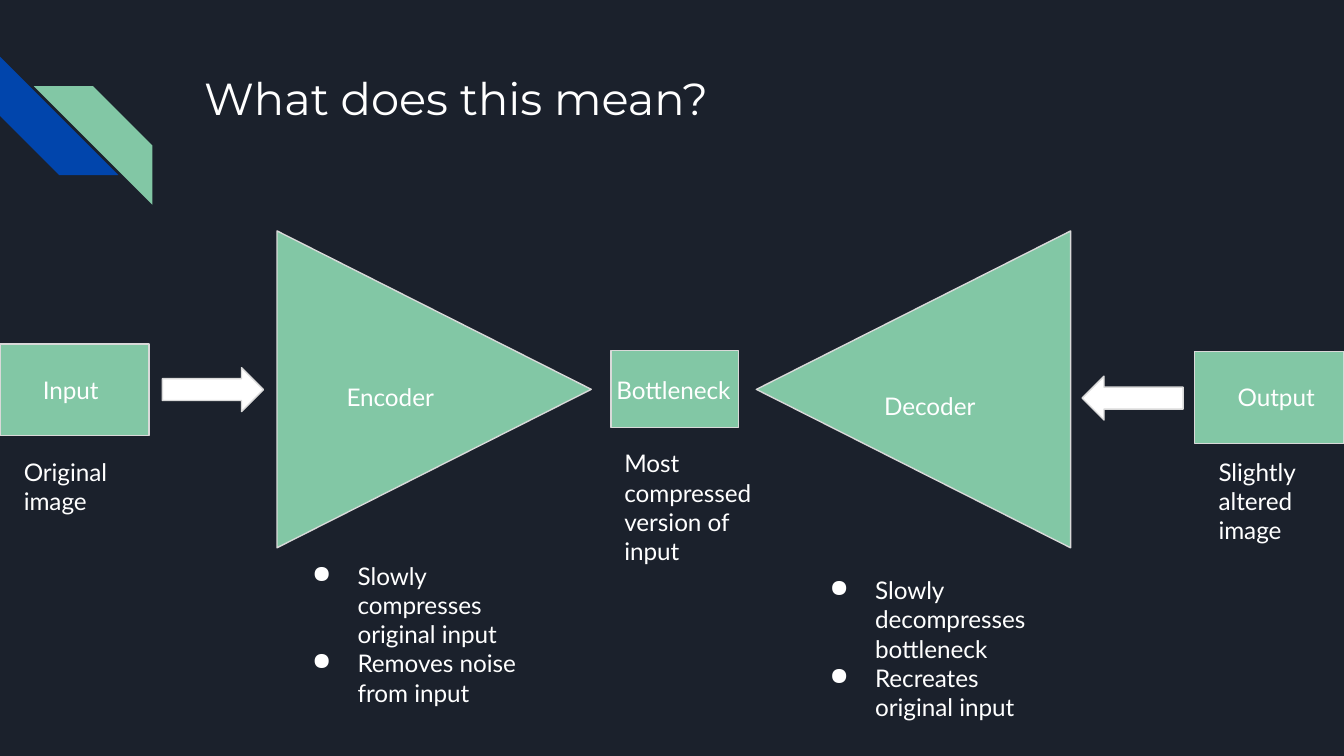
from dataclasses import dataclass

import pptx
import pptx.dml.color
import pptx.enum.shapes
import pptx.enum.text
import pptx.oxml.ns
import pptx.util
from lxml import etree

Cm = pptx.util.Cm
Pt = pptx.util.Pt
Shape = pptx.enum.shapes.MSO_SHAPE


@dataclass(frozen=True)
class Theme:
    background: str = "1B212C"
    blue: str = "0145AC"
    green: str = "82C7A5"
    white: str = "FFFFFF"
    outline: str = "D9D9D9"
    title_font: str = "Montserrat"
    body_font: str = "Lato"
    title_size: int = 24
    body_size: int = 13
    line_width: float = 0.75


THEME = Theme()


@dataclass(frozen=True)
class Box:
    """Position and size in centimetres."""
    left: float
    top: float
    width: float
    height: float

    def lengths(self) -> tuple:
        return Cm(self.left), Cm(self.top), Cm(self.width), Cm(self.height)


@dataclass(frozen=True)
class Block:
    kind: Shape
    box: Box
    fill: str = THEME.green
    rotation: int = 0
    outlined: bool = True


@dataclass(frozen=True)
class Label:
    box: Box
    lines: tuple[str, ...]
    bulleted: bool = False


# Corner decoration
STRIPES = (
    Block(Shape.DIAGONAL_STRIPE, Box(0, 1.07, 2.24, 2.24), THEME.blue, 270, False),
    Block(Shape.DIAGONAL_STRIPE, Box(0.64, 1.63, 2.24, 2.24), rotation=90, outlined=False),
)

# Pipeline: input, encoder, bottleneck, decoder, output
BLOCKS = (
    Block(Shape.ISOSCELES_TRIANGLE, Box(5.21, 4.39, 5.99, 5.94), rotation=90),
    Block(Shape.RECTANGLE, Box(11.55, 6.63, 2.41, 1.45)),
    Block(Shape.ISOSCELES_TRIANGLE, Box(14.27, 4.39, 5.99, 5.94), rotation=270),
    Block(Shape.RECTANGLE, Box(0, 6.5, 2.82, 1.73)),
    Block(Shape.RECTANGLE, Box(22.58, 6.65, 2.82, 1.73)),
    Block(Shape.RIGHT_ARROW, Box(3.07, 6.95, 1.91, 0.83), THEME.white),
    Block(Shape.RIGHT_ARROW, Box(20.45, 7.11, 1.91, 0.83), THEME.white, 180),
)

LABELS = (
    # Names of the stages
    Label(Box(6.3, 6.98, 2.41, 1.07), ("Encoder",)),
    Label(Box(11.4, 6.84, 2.82, 1.07), ("Bottleneck",)),
    Label(Box(16.46, 7.14, 2.82, 1.07), ("Decoder",)),
    Label(Box(0.56, 6.84, 1.7, 1.07), ("Input",)),
    Label(Box(23.14, 6.98, 2.03, 1.07), ("Output",)),
    # Explanations below them
    Label(Box(0.2, 8.39, 2.41, 1.62), ("Original", "image")),
    Label(Box(5.24, 10.36, 5.23, 3.3),
          ("Slowly compresses original input", "Removes noise from input"), True),
    Label(Box(11.55, 8.23, 2.95, 2.74), ("Most compressed version of input",)),
    Label(Box(15.02, 10.63, 5.23, 3.3),
          ("Slowly decompresses bottleneck", "Recreates original input"), True),
    Label(Box(22.78, 8.39, 2.41, 2.18), ("Slightly altered", "image")),
)


def rgb(value: str) -> pptx.dml.color.RGBColor:
    return pptx.dml.color.RGBColor.from_string(value)


def format_text(tf, font: str, size: int) -> None:
    tf.word_wrap = True
    tf.vertical_anchor = pptx.enum.text.MSO_ANCHOR.TOP
    tf.margin_left = tf.margin_right = tf.margin_top = tf.margin_bottom = Cm(0.25)
    for p in tf.paragraphs:
        p.alignment = pptx.enum.text.PP_ALIGN.LEFT
        for r in p.runs:
            r.font.name = font
            r.font.size = Pt(size)
            r.font.color.rgb = rgb(THEME.white)


def add_bullet(p) -> None:
    qn = pptx.oxml.ns.qn
    pPr = p._p.get_or_add_pPr()
    pPr.set("marL", str(Cm(1.27)))
    pPr.set("indent", str(Cm(-0.86)))
    color = etree.SubElement(pPr, qn("a:buClr"))
    etree.SubElement(color, qn("a:srgbClr"), val=THEME.white)
    etree.SubElement(pPr, qn("a:buChar"), char="●")


def add_block(s, block: Block) -> None:
    sp = s.shapes.add_shape(block.kind, *block.box.lengths())
    sp.shadow.inherit = False
    sp.rotation = block.rotation
    sp.fill.solid()
    sp.fill.fore_color.rgb = rgb(block.fill)
    if block.outlined:
        sp.line.color.rgb = rgb(THEME.outline)
        sp.line.width = Pt(THEME.line_width)
    else:
        sp.line.fill.background()


def add_label(s, label: Label) -> None:
    tf = s.shapes.add_textbox(*label.box.lengths()).text_frame
    tf.text = "\n".join(label.lines)
    tf.auto_size = pptx.enum.text.MSO_AUTO_SIZE.SHAPE_TO_FIT_TEXT
    if label.bulleted:
        for p in tf.paragraphs:
            add_bullet(p)
    format_text(tf, THEME.body_font, THEME.body_size)


def add_title(s, text: str, box: Box) -> None:
    sp = s.shapes.title
    sp.left, sp.top, sp.width, sp.height = box.lengths()
    tf = sp.text_frame
    tf.text = text
    tf.auto_size = pptx.enum.text.MSO_AUTO_SIZE.NONE
    format_text(tf, THEME.title_font, THEME.title_size)


def main() -> None:
    prs = pptx.Presentation()
    prs.slide_width, prs.slide_height = Cm(25.4), Cm(14.29)
    s = prs.slides.add_slide(prs.slide_layouts[5])
    s.background.fill.solid()
    s.background.fill.fore_color.rgb = rgb(THEME.background)

    add_title(s, "What does this mean?", Box(3.61, 1.09, 19.56, 2.54))
    for block in STRIPES + BLOCKS:
        add_block(s, block)
    for label in LABELS:
        add_label(s, label)

    prs.save("out.pptx")


if __name__ == "__main__":
    main()
